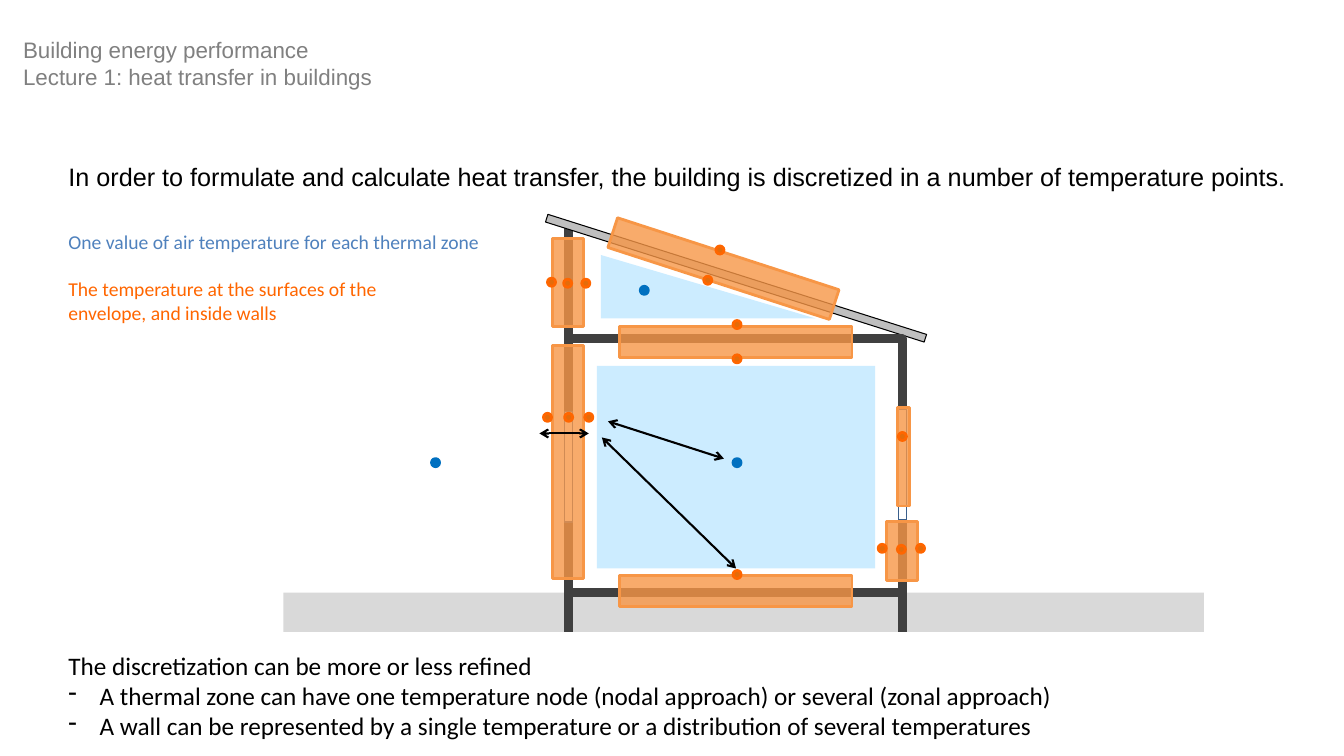
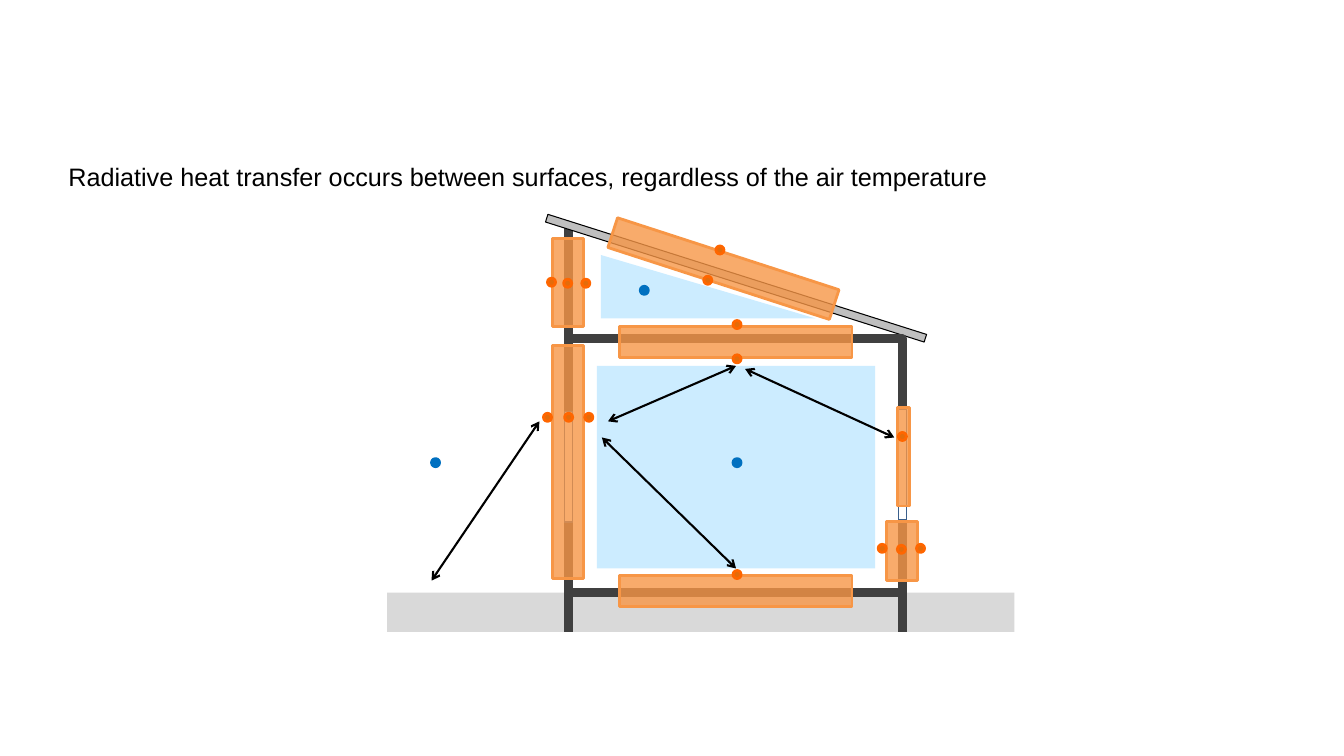
"""Build two slides on discretizing a building into temperature points."""
import pptx
import pptx.dml.color
import pptx.enum.shapes
import pptx.enum.text
import pptx.oxml.ns
import pptx.util
from lxml import etree
from pptx.util import Inches

COLOURS = {
    "text": "000000", "header": "808080", "air_text": "4F81BD", "surface": "FF6600",
    "surface_fill": "E46C0A", "air": "0070C0", "zone": "CCECFF", "panel": "F79646",
    "frame": "404040", "roof": "BFBFBF", "ground": "D9D9D9", "white": "FFFFFF",
    "window": "3A5F8C",
}
SHAPES = pptx.enum.shapes.MSO_SHAPE
DOT = 0.08
PANELS = [
    (8.79, 5.17, 0.31, 0.59, 0), (5.48, 3.43, 0.31, 2.31, 0), (5.48, 2.37, 0.31, 0.87, 0),
    (7.14, 2.24, 0.31, 2.31, 90), (7.14, 4.71, 0.31, 2.31, 90), (7.02, 1.51, 0.31, 2.31, 108),
    (8.9, 4.04, 0.12, 0.98, 0),
]
AIR_POINTS = [(7.27, 4.55), (6.35, 2.84), (4.28, 4.55)]
SURFACE_POINTS = [
    (5.39, 4.1), (5.6, 4.1), (5.8, 4.1),
    (5.43, 2.76), (5.59, 2.77), (5.77, 2.77),
    (8.71, 5.4), (8.9, 5.41), (9.09, 5.4),
    (7.27, 3.18), (7.27, 3.52), (7.27, 5.66),
    (6.98, 2.74), (7.1, 2.44), (8.91, 4.29),
]
WALL_TO_FLOOR = (7.3, 5.64, 5.97, 4.34)


def colour(name):
    return pptx.dml.color.RGBColor.from_string(COLOURS[name])


def add_child(parent, tag, **attributes):
    return etree.SubElement(parent, pptx.oxml.ns.qn(tag), attributes)


def add_block(page, left, top, width, height, fill, kind=SHAPES.RECTANGLE,
              line=None, weight=2, rotation=0, opacity=100):
    block = page.shapes.add_shape(kind, Inches(left), Inches(top), Inches(width), Inches(height))
    block.shadow.inherit = False
    block.rotation = rotation
    block.fill.solid()
    block.fill.fore_color.rgb = colour(fill)
    if opacity < 100:
        solid = block.element.spPr.find(pptx.oxml.ns.qn("a:solidFill"))
        add_child(solid[0], "a:alpha", val=str(opacity * 1000))
    if line:
        block.line.color.rgb = colour(line)
        block.line.width = pptx.util.Pt(weight)
    else:
        block.line.fill.background()


def add_line(page, ends, name="text", weight=1.5, arrows=False):
    straight = pptx.enum.shapes.MSO_CONNECTOR.STRAIGHT
    line = page.shapes.add_connector(straight, *[Inches(value) for value in ends])
    line.line.color.rgb = colour(name)
    line.line.width = pptx.util.Pt(weight)
    if arrows:
        outline = line.line._get_or_add_ln()
        add_child(outline, "a:headEnd", type="arrow")
        add_child(outline, "a:tailEnd", type="arrow")
    add_child(line._element.spPr, "a:effectLst")


def add_text(page, left, top, width, height, lines, size=18, font="Arial",
             name="text", wrap=False, bullets_from=None):
    box = page.shapes.add_textbox(Inches(left), Inches(top), Inches(width), Inches(height))
    frame = box.text_frame
    frame.word_wrap = wrap
    frame.auto_size = pptx.enum.text.MSO_AUTO_SIZE.SHAPE_TO_FIT_TEXT
    for index, words in enumerate(lines):
        para = frame.add_paragraph() if index else frame.paragraphs[0]
        if bullets_from is not None and index >= bullets_from:
            properties = para._p.get_or_add_pPr()
            properties.set("marL", str(Inches(0.31)))
            properties.set("indent", str(Inches(-0.31)))
            add_child(properties, "a:buChar", char="-")
        span = para.add_run()
        span.text = words
        span.font.size = pptx.util.Pt(size)
        span.font.name = font
        span.font.color.rgb = colour(name)


def add_house(page, ground_left, ground_width):
    add_block(page, ground_left, 5.88, ground_width, 0.39, "ground")
    add_line(page, (5.64, 6.27, 5.64, 2.25), "frame", 6)
    add_line(page, (8.95, 6.27, 8.95, 5.88), "frame", 6)
    add_block(page, 5.33, 2.72, 3.94, 0.08, "roof", line="text", weight=0.75, rotation=17.6)
    add_block(page, 5.64, 3.36, 3.31, 2.52, "white", line="frame", weight=6)
    for left, top in [(5.6, 4.08), (8.91, 4.06)]:
        add_block(page, left, top, 0.08, 1.1, "white", line="window", weight=1)
    add_block(page, 5.92, 3.63, 2.76, 2.01, "zone")
    add_block(page, 5.96, 2.53, 2.13, 0.63, "zone", kind=SHAPES.RIGHT_TRIANGLE)
    for left, top, width, height, rotation in PANELS:
        add_block(page, left, top, width, height, "panel", line="panel",
                  rotation=rotation, opacity=80)
    for points, fill, line in [(AIR_POINTS, "air", "air"),
                               (SURFACE_POINTS, "surface_fill", "surface")]:
        for left, top in points:
            add_block(page, left, top, DOT, DOT, fill, kind=SHAPES.OVAL, line=line)


def add_page(deck, statement, statement_width, ground_left, ground_width, arrows):
    page = deck.slides.add_slide(deck.slide_layouts[6])
    add_house(page, ground_left, ground_width)
    add_text(page, 0.58, 1.55, statement_width, 0.4, [statement])
    for ends in arrows:
        add_line(page, ends, arrows=True)
    return page


def main():
    deck = pptx.Presentation()
    deck.slide_width, deck.slide_height = Inches(13.33), Inches(7.5)

    page = add_page(
        deck,
        "In order to formulate and calculate heat transfer, the building is discretized "
        "in a number of temperature points.",
        12.32, 2.81, 9.13,
        [(7.18, 4.55, 6.03, 4.18), WALL_TO_FLOOR, (5.84, 4.3, 5.35, 4.3)])
    add_text(page, 0.13, 0.31, 3.71, 0.64,
             ["Building energy performance", "Lecture 1: heat transfer in buildings"],
             size=16, name="header")
    add_text(page, 0.58, 2.23, 4.33, 0.34,
             ["One value of air temperature for each thermal zone"],
             size=14, font="Calibri", name="air_text", wrap=True)
    add_text(page, 0.58, 2.7, 4.04, 0.57,
             ["The temperature at the surfaces of the envelope, and inside walls"],
             size=14, font="Calibri", name="surface", wrap=True)
    add_text(page, 0.58, 6.4, 10.08, 1.01, [
        "The discretization can be more or less refined",
        "A thermal zone can have one temperature node (nodal approach) or several (zonal approach)",
        "A wall can be represented by a single temperature or a distribution of several temperatures",
    ], font="Calibri", bullets_from=1)

    add_page(
        deck,
        "Radiative heat transfer occurs between surfaces, regardless of the air temperature",
        9.47, 3.84, 6.22,
        [(7.3, 3.63, 6.03, 4.18), WALL_TO_FLOOR,
         (5.35, 4.18, 4.28, 5.76), (8.87, 4.34, 7.39, 3.66)])
    deck.save("out.pptx")


if __name__ == "__main__":
    main()
